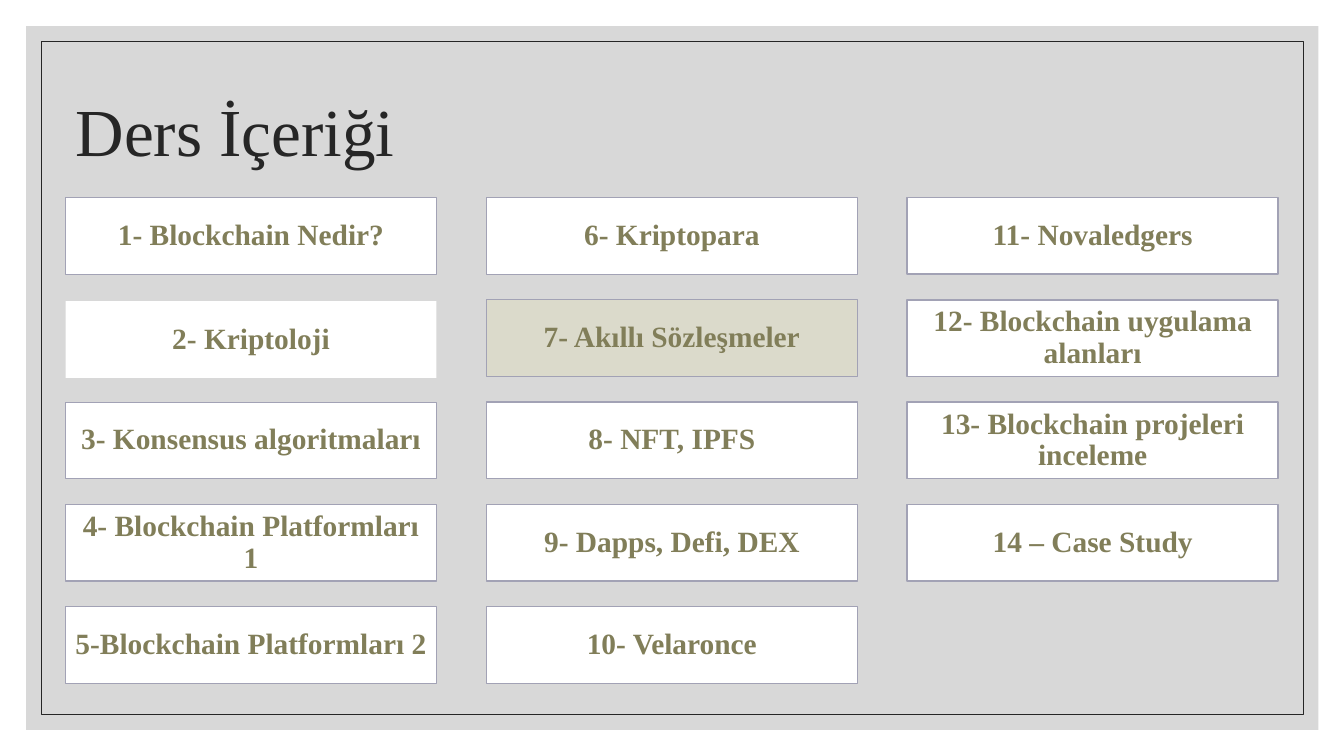
import pptx
import pptx.util
import pptx.dml.color
import pptx.enum.shapes
import pptx.enum.text
import pptx.oxml.ns
import lxml.etree

Pt = pptx.util.Pt
ALIGN = pptx.enum.text.PP_ALIGN
RECT = pptx.enum.shapes.MSO_SHAPE.RECTANGLE

TOPICS = [
    ["1- Blockchain Nedir?", "2- Kriptoloji", "3- Konsensus algoritmaları",
     "4- Blockchain Platformları 1", "5-Blockchain Platformları 2"],
    ["6- Kriptopara", "7- Akıllı Sözleşmeler", "8- NFT, IPFS",
     "9- Dapps, Defi, DEX", "10- Velaronce"],
    ["11- Novaledgers", "12- Blockchain uygulama alanları",
     "13- Blockchain projeleri inceleme", "14 – Case Study"],
]
# Columns and rows of the cards whose look differs from the rest
THIN = {(0, 0), (0, 2), (1, 0), (1, 1)}
ACTIVE = (1, 1)
BARE = (0, 1)


def color(code):
    return pptx.dml.color.RGBColor.from_string(code)


def write(shape, text, size, code, bold=False, align=ALIGN.LEFT):
    frame = shape.text_frame
    frame.word_wrap = True
    frame.auto_size = pptx.enum.text.MSO_AUTO_SIZE.NONE
    frame.vertical_anchor = pptx.enum.text.MSO_ANCHOR.MIDDLE
    para = frame.paragraphs[0]
    para.alignment = align
    para.line_spacing = 0.9
    run = para.add_run()
    run.text = text
    font = run.font
    font.name = "Times New Roman"
    font.size = Pt(size)
    font.bold = bold
    font.color.rgb = color(code)


def draw_box(slide, left, top, width, height, fill=None, line=None, weight=1):
    box = slide.shapes.add_shape(RECT, Pt(left), Pt(top), Pt(width), Pt(height))
    box.shadow.inherit = False
    if fill:
        box.fill.solid()
        box.fill.fore_color.rgb = color(fill)
    else:
        box.fill.background()
    if line:
        box.line.color.rgb = color(line)
        box.line.width = Pt(weight)
    else:
        box.line.fill.background()
    return box


def draw_frame(slide, left, top, width, height):
    """Put the pale panel and its inner outline behind the title."""
    panel = draw_box(slide, left, top, width, height, fill="BFBFBF")
    tag = pptx.oxml.ns.qn
    shade = panel.element.spPr.find(tag("a:solidFill"))[0]
    lxml.etree.SubElement(shade, tag("a:alpha"), val="60000")
    inset = 10.8
    border = draw_box(slide, left + inset, top + inset, width - 2 * inset,
                      height - 2 * inset, line="262626", weight=0.5)
    for part in (panel, border):
        slide.shapes.title.element.addprevious(part.element)


def place_title(slide, left, top, width, height):
    title = slide.shapes.title
    title.left, title.top = Pt(left), Pt(top)
    title.width, title.height = Pt(width), Pt(height)
    write(title, "Ders İçeriği", 48, "262626")


def draw_cards(slide, left, top, width, height):
    wide, high = 265, 54.7
    step = (width - wide) / 2
    drop = (height - high) / 4
    for col, names in enumerate(TOPICS):
        for row, name in enumerate(names):
            spot = (col, row)
            card = draw_box(
                slide, left + col * step,
                top + row * drop + (1 if spot == BARE else 0), wide, high,
                fill="DBDACB" if spot == ACTIVE else "FFFFFF",
                line=None if spot == BARE else "A2A2B5",
                weight=0.5 if spot in THIN else 1)
            frame = card.text_frame
            frame.margin_left = frame.margin_right = Pt(5.8)
            frame.margin_top = frame.margin_bottom = Pt(6.5)
            write(card, name, 21, "817E59", bold=True, align=ALIGN.CENTER)


def main():
    deck = pptx.Presentation()
    deck.slide_width, deck.slide_height = Pt(960), Pt(540)
    slide = deck.slides.add_slide(deck.slide_layouts[5])
    draw_frame(slide, 18.7, 18.7, 923, 502.6)
    place_title(slide, 46.8, 42.5, 792, 108)
    draw_cards(slide, 46.8, 141.1, 866.2, 347)
    deck.save("out.pptx")


if __name__ == "__main__":
    main()
